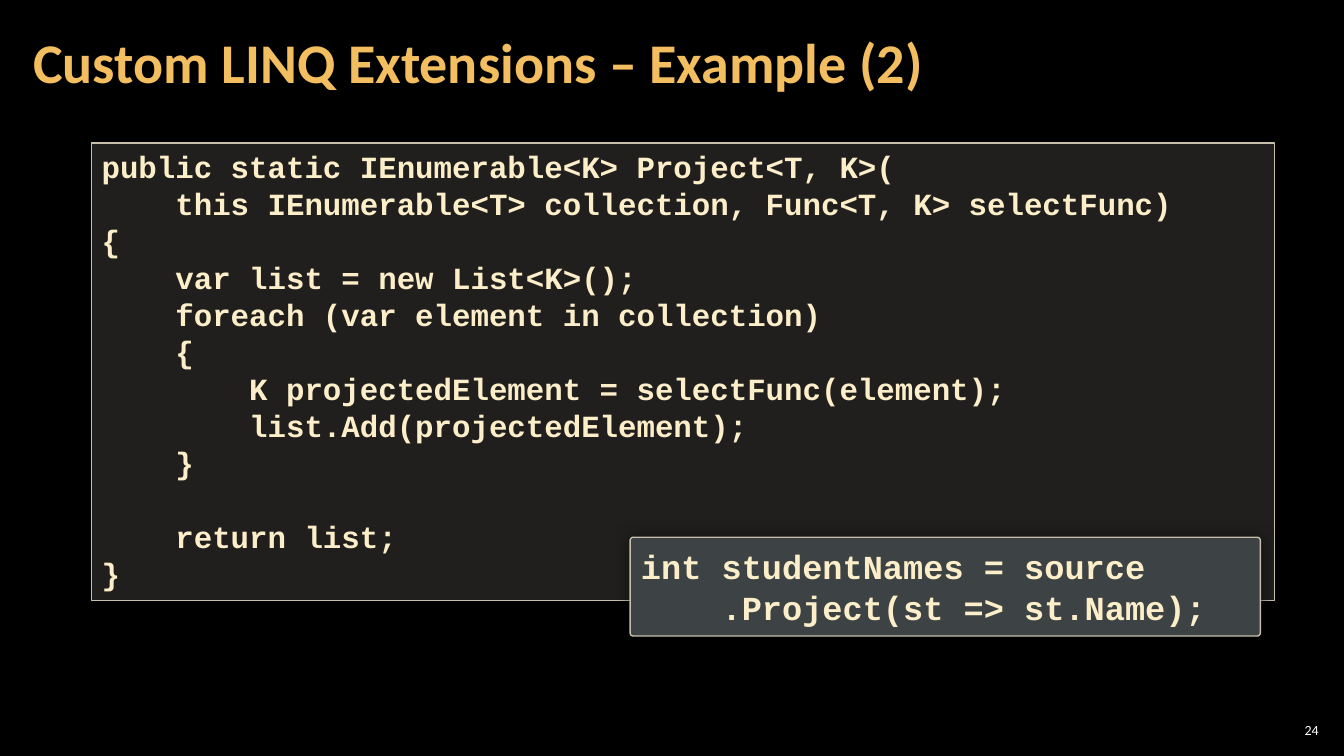
from lxml import etree
from pptx import Presentation
from pptx.dml.color import RGBColor
from pptx.enum.shapes import MSO_SHAPE
from pptx.enum.text import MSO_ANCHOR, MSO_AUTO_SIZE, PP_ALIGN
from pptx.oxml.ns import qn
from pptx.util import Inches, Pt

RECTANGLE = MSO_SHAPE.RECTANGLE
ROUNDED = MSO_SHAPE.ROUNDED_RECTANGLE
TOP, MIDDLE = MSO_ANCHOR.TOP, MSO_ANCHOR.MIDDLE
LEFT, RIGHT = PP_ALIGN.LEFT, PP_ALIGN.RIGHT
GROW = MSO_AUTO_SIZE.SHAPE_TO_FIT_TEXT

TEXT_FONT, CODE_FONT = "Calibri", "Courier New"
BLACK, WHITE, GOLD = "000000", "FFFFFF", "F3BE60"
CODE_COLOR, CODE_LINE, CODE_FILL, USAGE_FILL = "FBEEC9", "C7BFAC", "D9D5C7", "3D4344"

PROJECT_CODE = """public static IEnumerable<K> Project<T, K>(
    this IEnumerable<T> collection, Func<T, K> selectFunc)
{
    var list = new List<K>();
    foreach (var element in collection)
    {
        K projectedElement = selectFunc(element);
        list.Add(projectedElement);
    }

    return list;
}"""
USAGE_CODE = """int studentNames = source
    .Project(st => st.Name);"""


def color(value):
    """Turn a hex string into a colour."""
    return RGBColor.from_string(value)


def style(paragraph, font, size, text_color, bold, align):
    """Set the font and alignment of a paragraph."""
    paragraph.alignment = align
    paragraph.font.name = font
    paragraph.font.size = Pt(size)
    paragraph.font.bold = bold
    paragraph.font.color.rgb = color(text_color)


def set_frame(frame, anchor, side, edge):
    """Set wrapping, anchor and margins of a text frame."""
    frame.word_wrap = True
    frame.vertical_anchor = anchor
    frame.margin_left = frame.margin_right = Inches(side)
    frame.margin_top = frame.margin_bottom = Inches(edge)


def add_label(page, place, text, size, text_color, side, bold=False, align=LEFT):
    """Add one line of text, centred vertically in its box."""
    box = page.shapes.add_textbox(*map(Inches, place))
    set_frame(box.text_frame, MIDDLE, side, 0.04)
    para = box.text_frame.paragraphs[0]
    para.text = text
    style(para, TEXT_FONT, size, text_color, bold, align)
    return para


def add_code(page, preset, place, code, size, fill, edge):
    """Add a framed code panel with one paragraph per line."""
    box = page.shapes.add_shape(preset, *map(Inches, place))
    box.shadow.inherit = False
    box.fill.solid()
    box.fill.fore_color.rgb = color(fill)
    box.line.color.rgb = color(CODE_LINE)
    box.line.width = Pt(1)
    frame = box.text_frame
    set_frame(frame, TOP, 0.1, edge)
    frame.auto_size = GROW
    frame.text = code
    for para in frame.paragraphs:
        style(para, CODE_FONT, size, CODE_COLOR, True, LEFT)
        if not para.text:
            ending = etree.SubElement(para._p, qn("a:endParaRPr"), sz=str(size * 100), b="1")
            etree.SubElement(ending, qn("a:latin"), typeface=CODE_FONT)
    return box


def set_alpha(color_element, percent):
    """Give a colour element an opacity."""
    etree.SubElement(color_element, qn("a:alpha"), val=str(percent * 1000))


def add_glow_shadow(box, blur, percent):
    """Add a soft black shadow on all sides of a shape."""
    effects = box._element.spPr.find(qn("a:effectLst"))
    shadow = etree.SubElement(effects, qn("a:outerShdw"), blurRad=str(Pt(blur)),
                              dist="0", dir="0", algn="ctr", rotWithShape="0")
    set_alpha(etree.SubElement(shadow, qn("a:srgbClr"), val=BLACK), percent)


def main():
    """Build the slide and save it."""
    deck = Presentation()
    deck.slide_width, deck.slide_height = Inches(13.33), Inches(7.5)
    page = deck.slides.add_slide(deck.slide_layouts[6])
    page.background.fill.solid()
    page.background.fill.fore_color.rgb = color(BLACK)

    add_label(page, (12.65, 7.14, 0.47, 0.21), "24", 10, WHITE, 0.04, align=RIGHT)
    title = add_label(page, (0.21, 0.04, 10.47, 1.21),
                      "Custom LINQ Extensions – Example (2)", 40, GOLD, 0.12, bold=True)
    title.line_spacing = 0.9

    project = add_code(page, RECTANGLE, (0.91, 1.42, 11.73, 4.54),
                       PROJECT_CODE, 22, CODE_FILL, 0.05)
    set_alpha(project._element.spPr.find(qn("a:solidFill")).find(qn("a:srgbClr")), 15)

    usage = add_code(page, ROUNDED, (6.25, 5.33, 6.25, 0.98),
                     USAGE_CODE, 24, USAGE_FILL, 0.08)
    usage.adjustments[0] = 0.03
    add_glow_shadow(usage, 10, 50)

    deck.save("out.pptx")


if __name__ == "__main__":
    main()
